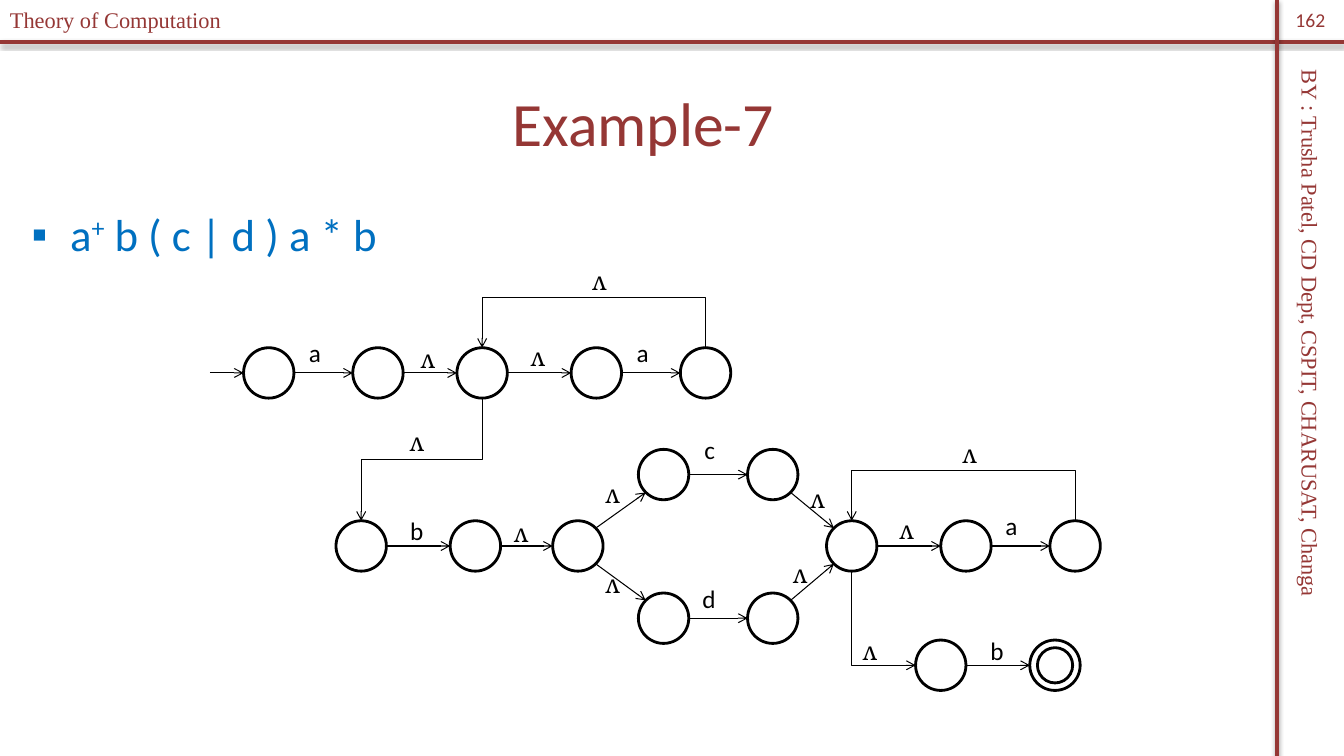
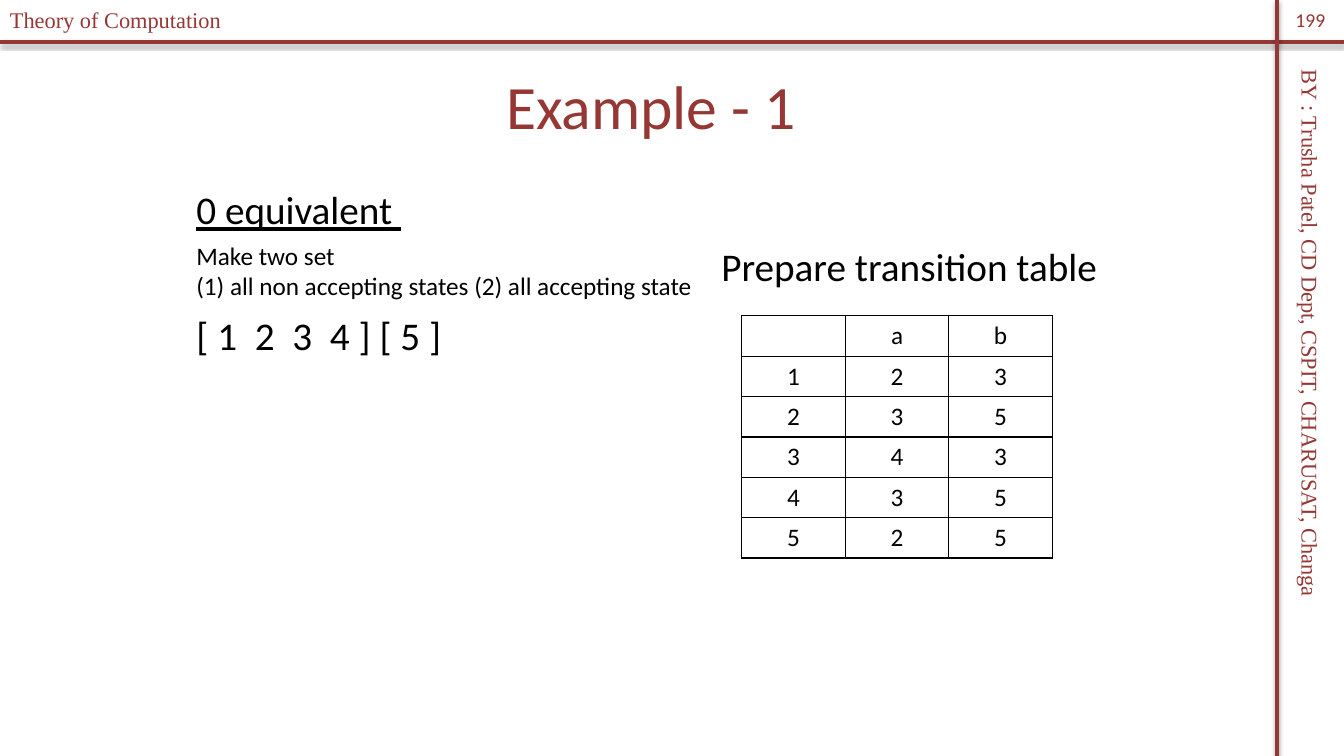
import lxml.etree
import pptx
import pptx.dml.color
import pptx.enum.shapes
import pptx.enum.text
import pptx.oxml.ns
import pptx.util

MAROON = pptx.dml.color.RGBColor(0x95, 0x37, 0x35)
BLUE = pptx.dml.color.RGBColor(0x00, 0x70, 0xC0)
BLACK = pptx.dml.color.RGBColor(0x00, 0x00, 0x00)
WHITE = pptx.dml.color.RGBColor(0xFF, 0xFF, 0xFF)
COLUMNS, ROWS = 160, 90
CELL = pptx.util.Inches(1 / 12)
RADIUS = 3
SIDES = {
    "top": (0, -1), "bottom": (0, 1), "left": (-1, 0), "right": (1, 0),
    "top left": (-0.71, -0.71), "top right": (0.71, -0.71),
    "bottom left": (-0.71, 0.71), "bottom right": (0.71, 0.71),
}
ALIGN = pptx.enum.text.PP_ALIGN
MIDDLE = pptx.enum.text.MSO_ANCHOR.MIDDLE


def add_child(parent, tag, **attributes):
    return lxml.etree.SubElement(parent, pptx.oxml.ns.qn("a:" + tag), attributes)


def cells(*lengths):
    return [round(length * CELL) for length in lengths]


class Deck:
    """Draws lecture slides on a grid of 160 columns and 90 rows."""

    def __init__(self):
        self.presentation = pptx.Presentation()
        self.presentation.slide_width, self.presentation.slide_height = cells(COLUMNS, ROWS)
        self.slide = None

    def add_slide(self, number, title, title_box):
        self.slide = self.presentation.slides.add_slide(self.presentation.slide_layouts[6])
        self.rule((0, 5), (COLUMNS, 5))
        self.rule((152, 0), (152, ROWS))
        byline = self.text((117.5, 43.4, 77, 4.4), "BY : Trusha Patel, CD Dept, CSPIT, CHARUSAT, Changa",
                           16, MAROON, "Times New Roman")
        byline.rotation = 90
        self.text((0, 0.1, 39.5, 4.4), "Theory of Computation", 16, MAROON, "Times New Roman")
        self.text((152, 0, 8, 4.8), number, 14, MAROON, align=ALIGN.CENTER, anchor=MIDDLE)
        self.text(title_box, title, 44, MAROON, align=ALIGN.CENTER, anchor=MIDDLE)

    def text(self, box, content, size, color=BLACK, font="Calibri", align=ALIGN.LEFT,
             anchor=pptx.enum.text.MSO_ANCHOR.TOP, underline=None, wrap=False):
        shape = self.slide.shapes.add_textbox(*cells(*box))
        frame = shape.text_frame
        frame.word_wrap = wrap
        frame.vertical_anchor = anchor
        frame.text = content
        for paragraph in frame.paragraphs:
            paragraph.alignment = align
            self.style(paragraph, size, color, font)
            paragraph.font.underline = underline
        return shape

    def style(self, paragraph, size, color, font="Calibri"):
        paragraph.font.size = pptx.util.Pt(size)
        paragraph.font.name = font
        paragraph.font.color.rgb = color

    def bullet(self, box, pieces, size, color):
        paragraph = self.text(box, "", size, color, wrap=True).text_frame.paragraphs[0]
        properties = paragraph._p.get_or_add_pPr()
        indent = pptx.util.Inches(0.38)
        properties.set("marL", str(indent))
        properties.set("indent", str(-indent))
        for child in list(properties):
            properties.remove(child)
        add_child(properties, "buFont", typeface="Arial")
        add_child(properties, "buChar", char="▪")
        self.style(paragraph, size, color)
        for content, baseline in pieces:
            run = paragraph.add_run()
            run.text = content
            if baseline:
                run._r.get_or_add_rPr().set("baseline", str(baseline * 1000))

    def stroke(self, shape, color, width):
        shape.line.color.rgb = color
        shape.line.width = pptx.util.Pt(width)
        return add_child(shape._element.spPr, "effectLst")

    def connector(self, start, end):
        straight = pptx.enum.shapes.MSO_CONNECTOR.STRAIGHT
        return self.slide.shapes.add_connector(straight, *cells(*start, *end))

    def rule(self, start, end):
        effects = self.stroke(self.connector(start, end), MAROON, 3)
        shadow = add_child(effects, "outerShdw", blurRad="40000", dist="23000",
                           dir="5400000", rotWithShape="0")
        add_child(add_child(shadow, "srgbClr", val="000000"), "alpha", val="35000")

    def circle(self, center, radius=RADIUS):
        column, row = center
        shape = self.slide.shapes.add_shape(
            pptx.enum.shapes.MSO_SHAPE.OVAL,
            *cells(column - radius, row - radius, 2 * radius, 2 * radius))
        shape.fill.solid()
        shape.fill.fore_color.rgb = WHITE
        self.stroke(shape, BLACK, 2)

    def arrow(self, *points):
        if len(points) == 2:
            shape = self.connector(*points)
        else:
            start, *others = [cells(*point) for point in points]
            builder = self.slide.shapes.build_freeform(*start)
            builder.add_line_segments(others, close=False)
            shape = builder.convert_to_shape()
            shape.fill.background()
        self.stroke(shape, BLACK, 0.75)
        add_child(shape.line._get_or_add_ln(), "tailEnd", type="arrow")

    def label(self, content, column, row):
        font = "Cambria" if content == "ʌ" else "Calibri"
        self.text((column - 2, row - 2.4, 4, 4.8), content, 18, font=font, align=ALIGN.CENTER)

    def table(self, corner, rows, column_width, row_height):
        size = (column_width * len(rows[0]), row_height * len(rows))
        table = self.slide.shapes.add_table(len(rows), len(rows[0]), *cells(*corner, *size)).table
        table.first_row = table.horz_banding = False
        for row, values in enumerate(rows):
            for column, value in enumerate(values):
                self.table_cell(table.cell(row, column), value)

    def table_cell(self, cell, value):
        properties = cell._tc.get_or_add_tcPr()
        for side in ("lnL", "lnR", "lnT", "lnB"):
            border = add_child(properties, side, w=str(pptx.util.Pt(1)))
            add_child(add_child(border, "solidFill"), "srgbClr", val=str(BLACK))
        cell.fill.background()
        cell.text = value
        paragraph = cell.text_frame.paragraphs[0]
        paragraph.alignment = ALIGN.CENTER
        self.style(paragraph, 18, BLACK)


STATES = {
    "start": (32, 44.4), "first a": (45, 44.4), "loop": (57.4, 44.4),
    "before a": (71, 44.4), "after a": (84, 44.4),
    "before b": (43, 65), "after b": (56.6, 65), "choice": (68.8, 65),
    "before c": (79, 56.5), "after c": (92, 56.5),
    "before d": (79, 73.6), "after d": (92, 73.6),
    "merge": (101.4, 65), "before last a": (115, 65), "after last a": (128, 65),
    "before last b": (112, 79.2), "accept": (125.6, 79.2),
}
CHAINS = [
    ("start", "first a", "loop", "before a", "after a"),
    ("before b", "after b", "choice"),
    ("before c", "after c"),
    ("before d", "after d"),
    ("merge", "before last a", "after last a"),
    ("before last b", "accept"),
]
BRANCHES = [
    ("choice", "top right", "before c", "bottom left"),
    ("choice", "bottom right", "before d", "top left"),
    ("after c", "bottom right", "merge", "top left"),
    ("after d", "top right", "merge", "bottom left"),
]
BENDS = [
    ("after a", "top", "loop", "top", 35.4),
    ("loop", "bottom", "before b", "top", 54.7),
    ("after last a", "top", "merge", "top", 56),
    ("merge", "bottom", "before last b", "left", 79.2),
]
LABELS = {
    "a": [(37.5, 42), (76.5, 42), (120.4, 62.6)],
    "b": [(49.6, 63.2), (118.7, 77.4)],
    "c": [(84.5, 53.5)],
    "d": [(84.4, 71.2)],
    "ʌ": [(50.9, 42.7), (64, 42.4), (71.3, 33.4), (49.6, 52.6), (62, 63.4),
          (72.9, 58.7), (72.9, 69.5), (97.3, 59.4), (95.2, 68.3),
          (115.4, 54), (107.9, 63), (103.5, 77.4)],
}
TRANSITIONS = [("", "a", "b"), *map(tuple, ("123", "235", "343", "435", "525"))]


def port(state, side):
    return tuple(center + RADIUS * step for center, step in zip(STATES[state], SIDES[side]))


def draw_automaton(deck):
    for center in STATES.values():
        deck.circle(center)
    deck.circle(STATES["accept"], 2.1)
    entry = port("start", "left")
    deck.arrow((25, entry[1]), entry)
    for chain in CHAINS:
        for source, target in zip(chain, chain[1:]):
            deck.arrow(port(source, "right"), port(target, "left"))
    for source, leaving, target, entering in BRANCHES:
        deck.arrow(port(source, leaving), port(target, entering))
    for source, leaving, target, entering, row in BENDS:
        start, end = port(source, leaving), port(target, entering)
        corners = [(start[0], row)]
        if end[1] != row:
            corners.append((end[0], row))
        deck.arrow(start, *corners, end)
    for content, places in LABELS.items():
        for place in places:
            deck.label(content, *place)


def main():
    deck = Deck()
    deck.add_slide("162", "Example-7", (2.6, 7, 148, 15))
    deck.bullet((2.6, 24, 148, 63), [("a", 0), ("+", 30), (" b ( c | d ) a * b", 0)], 32, BLUE)
    draw_automaton(deck)

    deck.add_slide("199", "Example - 1", (22, 5, 111, 15))
    deck.text((84.7, 28.3, 47.6, 6.8), "Prepare transition table", 28)
    deck.table((88.3, 37.6), TRANSITIONS, 12.33, 4.8)
    deck.text((22.2, 21.5, 27.1, 6.8), "0 equivalent ", 28, underline=True)
    deck.text((22.2, 28, 62.2, 8.5),
              "Make two set\n(1) all non accepting states (2) all accepting state", 18)
    deck.text((22.2, 36.5, 32, 6.8), "[ 1  2  3  4 ] [ 5 ]", 28)
    deck.presentation.save("out.pptx")


if __name__ == "__main__":
    main()
